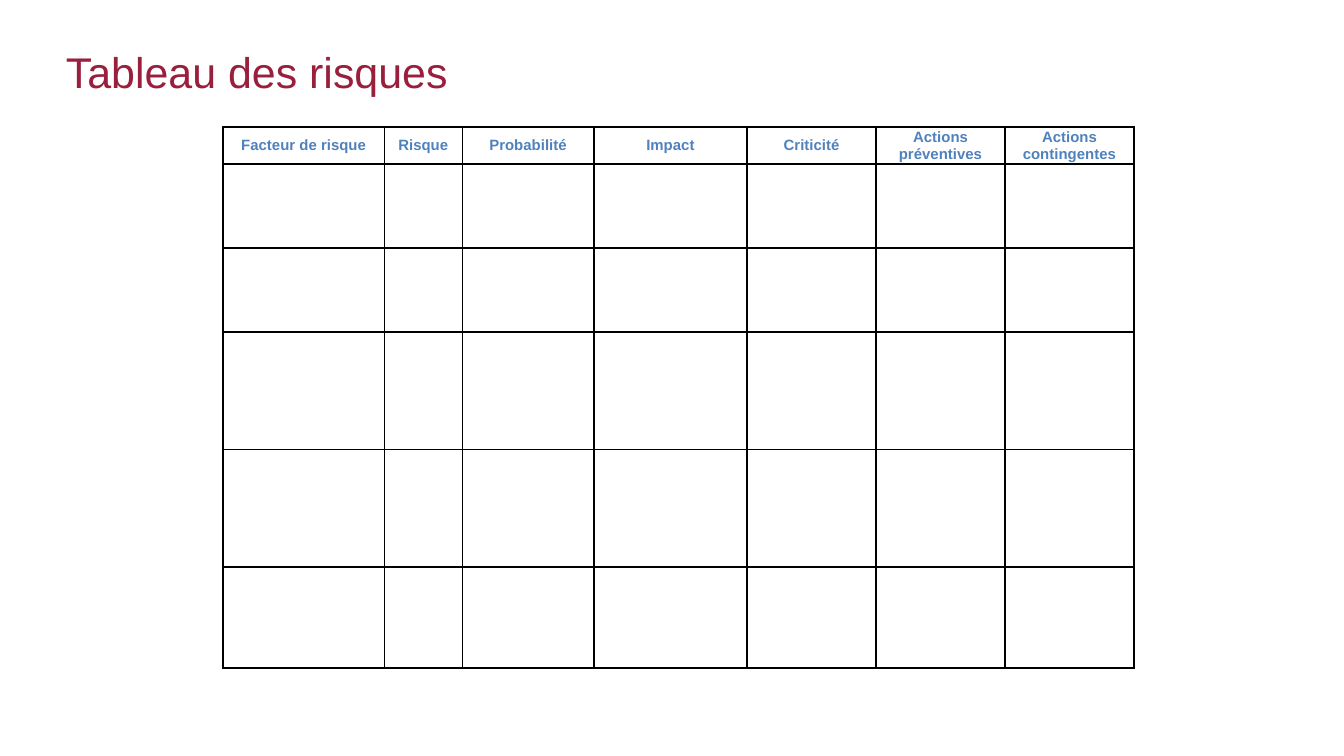
from lxml import etree
from pptx import Presentation
from pptx.dml.color import RGBColor
from pptx.enum import text
from pptx.oxml import ns
from pptx.util import Pt

FONT = "Arial"
HEADINGS = ["Facteur de risque", "Risque", "Probabilité", "Impact",
            "Criticité", "Actions préventives", "Actions contingentes"]
COLUMN_WIDTHS = [86.4, 41.8, 70.4, 82.2, 69.1, 69.1, 69.1]
ROW_HEIGHTS = [20, 45, 45, 63, 63, 54]


def style_text(frame, size, color, align, bold=False):
    frame.vertical_anchor = text.MSO_ANCHOR.MIDDLE
    for paragraph in frame.paragraphs:
        paragraph.alignment = align
        for run in paragraph.runs:
            run.font.name = FONT
            run.font.size = Pt(size)
            run.font.bold = bold
            run.font.color.rgb = RGBColor.from_string(color)


def add_title(slide, wording):
    title = slide.shapes.title
    title.left, title.top = Pt(35.3), Pt(10.8)
    title.width, title.height = Pt(648.7), Pt(54.7)
    frame = title.text_frame
    frame.text = wording
    frame.word_wrap = True
    frame.auto_size = text.MSO_AUTO_SIZE.NONE
    frame.margin_left = frame.margin_right = 0
    frame.margin_top = frame.margin_bottom = 0
    style_text(frame, 23, "991F3D", text.PP_ALIGN.LEFT)


def set_borders(cell, color, width):
    properties = cell._tc.get_or_add_tcPr()
    for side in ("a:lnL", "a:lnR", "a:lnT", "a:lnB"):
        line = etree.SubElement(properties, ns.qn(side), w=str(Pt(width)))
        fill = etree.SubElement(line, ns.qn("a:solidFill"))
        etree.SubElement(fill, ns.qn("a:srgbClr"), val=color)


def format_cell(cell):
    cell.margin_left = cell.margin_right = Pt(4.3)
    cell.margin_top = cell.margin_bottom = 0
    set_borders(cell, "000000", 1)
    cell.fill.background()


def add_risk_table(slide):
    risks = slide.shapes.add_table(
        len(ROW_HEIGHTS), len(HEADINGS), Pt(119.5), Pt(67.9),
        Pt(sum(COLUMN_WIDTHS)), Pt(sum(ROW_HEIGHTS))).table
    risks.first_row = risks.horz_banding = False
    for column, width in zip(risks.columns, COLUMN_WIDTHS):
        column.width = Pt(width)
    for row, height in zip(risks.rows, ROW_HEIGHTS):
        row.height = Pt(height)
    for cell in risks.iter_cells():
        format_cell(cell)

    # Heading row
    for cell, heading in zip(risks.rows[0].cells, HEADINGS):
        cell.text_frame.text = heading
        style_text(cell.text_frame, 8, "4F81BD", text.PP_ALIGN.CENTER, bold=True)
        cell.vertical_anchor = text.MSO_ANCHOR.MIDDLE


def main():
    deck = Presentation()
    deck.slide_width, deck.slide_height = Pt(720), Pt(405)
    slide = deck.slides.add_slide(deck.slide_layouts[5])
    add_title(slide, "Tableau des risques")
    add_risk_table(slide)
    deck.save("out.pptx")


if __name__ == "__main__":
    main()
